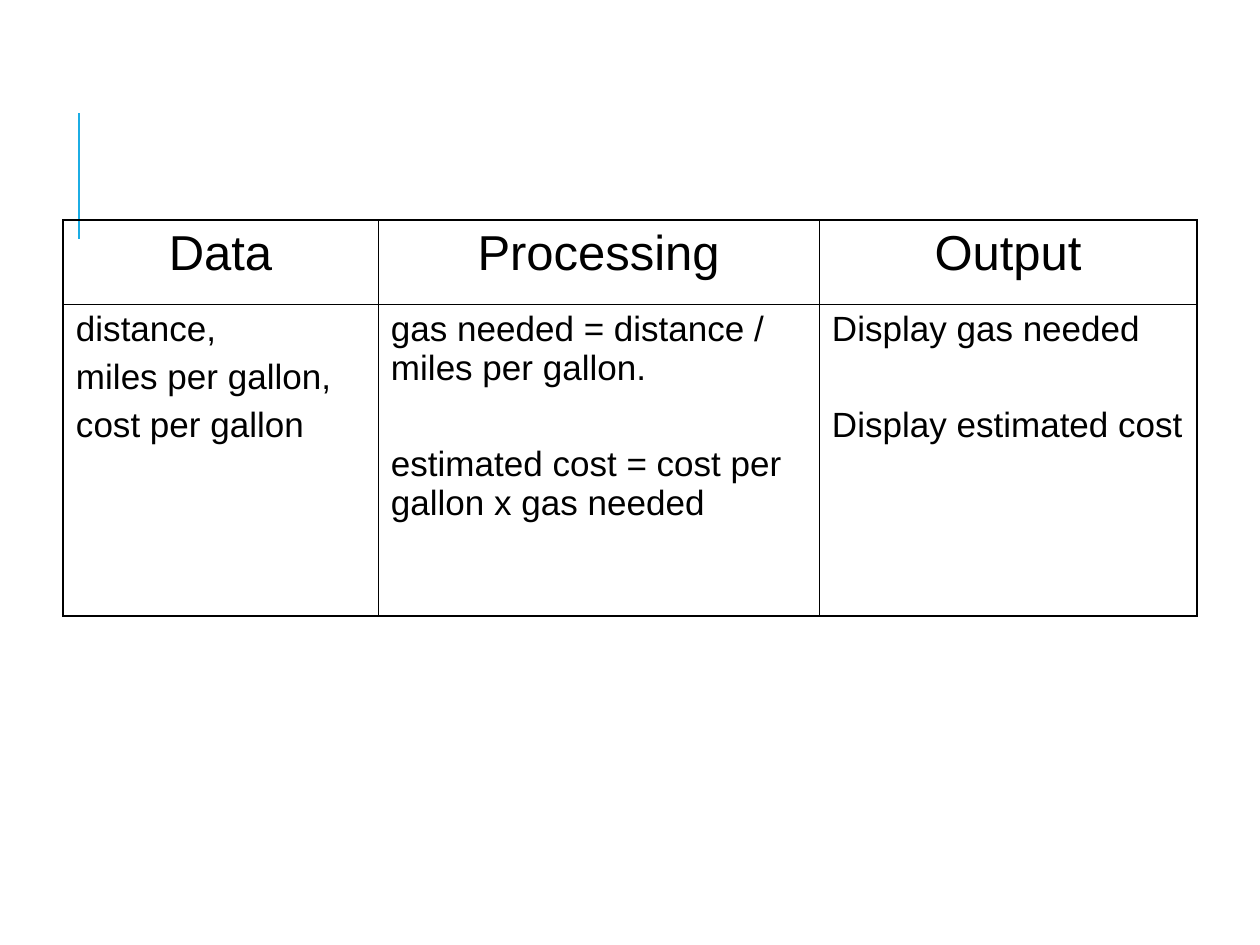
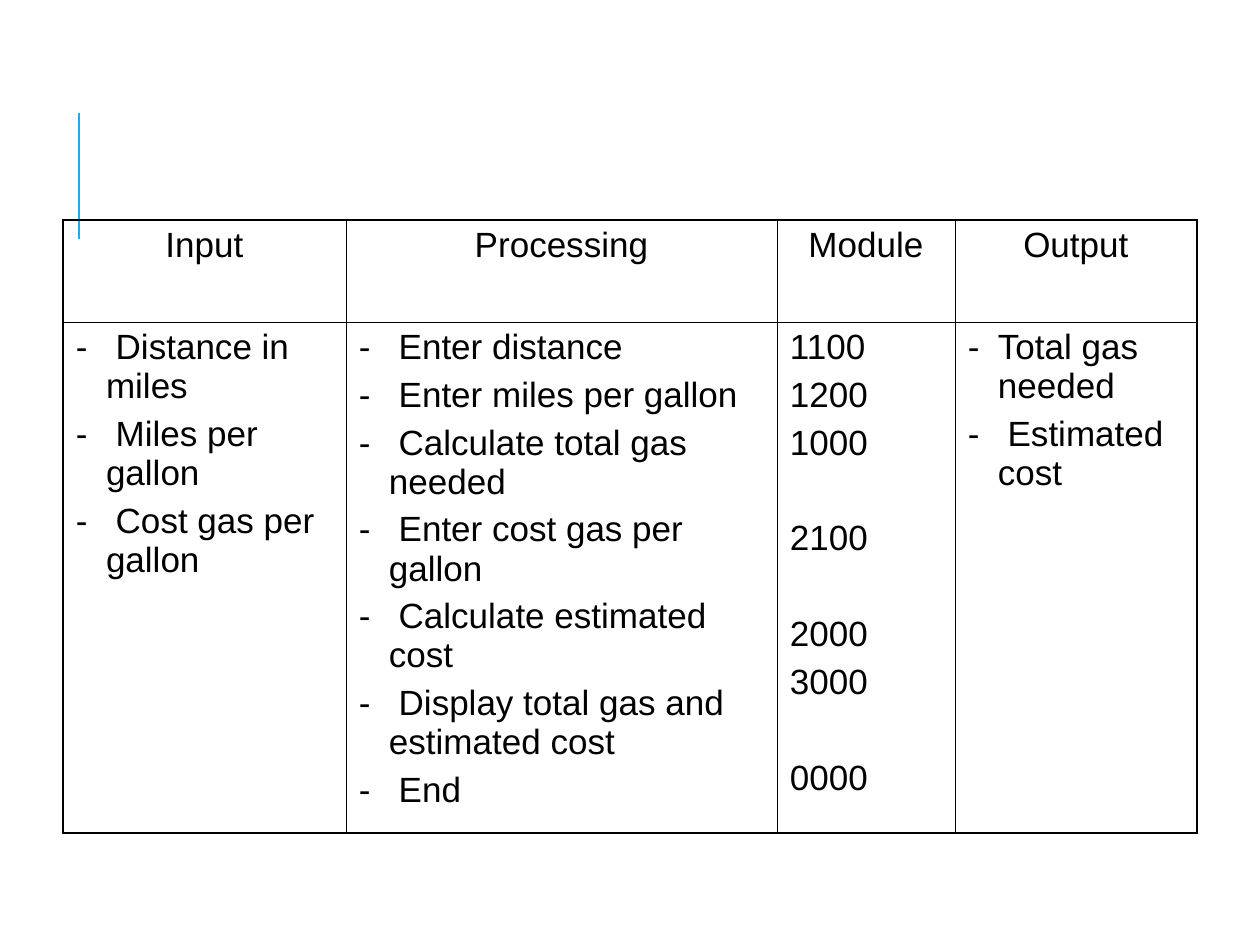
from pptx import Presentation
from pptx.dml.color import RGBColor
from pptx.enum.shapes import MSO_CONNECTOR as Connector
from pptx.enum.text import PP_ALIGN as Align
from pptx.oxml.ns import qn
from pptx.util import Pt
from lxml.etree import SubElement

EMU_PER_PX = 914400 / 126
SLIDE_SIZE = (1260, 945)
TABLE_LEFT, TABLE_TOP = 63, 220
CELL_INSET_X, CELL_INSET_Y = 13, 6
BULLET_INDENT = 30

FONT = "Arial"
BODY_SIZE = 20
LINE_GAP = 5       # points between paragraphs
GROUP_GAP = 32.4   # points between groups of paragraphs
OUTER_RULE, INNER_RULE = 1.08, 0.45

BLACK = RGBColor(0x00, 0x00, 0x00)
ACCENT = RGBColor(0x1C, 0xAD, 0xE4)

# Each body column is (bulleted, groups of lines)
PROBLEM_ANALYSIS = {
    "headings": ["Data", "Processing", "Output"],
    "heading_size": 28,
    "widths": [315, 441, 378],
    "heights": [84, 312],
    "body": [
        (False, [["distance,", "miles per gallon,", "cost per gallon"]]),
        (False, [["gas needed = distance / miles per gallon."],
                 ["estimated cost = cost per gallon x gas needed"]]),
        (False, [["Display gas needed"], ["Display estimated cost"]]),
    ],
}
IPO_CHART = {
    "headings": ["Input", "Processing", "Module", "Output"],
    "heading_size": BODY_SIZE,
    "widths": [283, 431, 178, 242],
    "heights": [102, 511],
    "body": [
        (True, [[" Distance in miles", " Miles per gallon", " Cost gas per gallon"]]),
        (True, [[" Enter distance", " Enter miles per gallon",
                 " Calculate total gas needed", " Enter cost gas per gallon",
                 " Calculate estimated cost",
                 " Display total gas and estimated cost", " End"]]),
        (False, [["1100", "1200", "1000"], ["2100"], ["2000", "3000"], ["0000"]]),
        (True, [["Total gas needed", " Estimated cost"]]),
    ],
}


def px(length):
    return round(length * EMU_PER_PX)


def add_accent_rule(slide):
    rule = slide.shapes.add_connector(Connector.STRAIGHT, px(79), px(239), px(79), px(113))
    rule.line.color.rgb = ACCENT
    rule.line.width = Pt(1.5)
    SubElement(rule._element.spPr, qn("a:effectLst"))


def set_borders(cell, outer_sides):
    properties = cell._tc.get_or_add_tcPr()
    for side in "LRTB":
        width = OUTER_RULE if side in outer_sides else INNER_RULE
        border = SubElement(properties, qn(f"a:ln{side}"), w=str(Pt(width)))
        fill = SubElement(border, qn("a:solidFill"))
        SubElement(fill, qn("a:srgbClr"), val=str(BLACK))


def add_dash(paragraph):
    properties = paragraph._p.get_or_add_pPr()
    properties.set("marL", str(px(BULLET_INDENT)))
    properties.set("indent", str(-px(BULLET_INDENT)))
    color = SubElement(properties, qn("a:buClr"))
    SubElement(color, qn("a:srgbClr"), val=str(BLACK))
    SubElement(properties, qn("a:buFont"), typeface=FONT)
    SubElement(properties, qn("a:buChar"), char="-")


def write_cell(cell, groups, size, align=Align.LEFT, bulleted=False):
    cell.margin_left = cell.margin_right = px(CELL_INSET_X)
    cell.margin_top = cell.margin_bottom = px(CELL_INSET_Y)
    cell.text_frame.text = "\n".join(line for group in groups for line in group)
    gaps = [LINE_GAP if index else GROUP_GAP
            for group in groups for index in range(len(group))]
    gaps[0] = 0
    for paragraph, gap in zip(cell.text_frame.paragraphs, gaps):
        if bulleted:
            add_dash(paragraph)
        paragraph.alignment = align
        paragraph.space_before = Pt(gap)
        for run in paragraph.runs:
            run.font.name = FONT
            run.font.size = Pt(size)
            run.font.bold = False
            run.font.color.rgb = BLACK


def add_chart_table(slide, content):
    widths, heights = content["widths"], content["heights"]
    table = slide.shapes.add_table(
        len(heights), len(widths), px(TABLE_LEFT), px(TABLE_TOP),
        px(sum(widths)), px(sum(heights))).table
    table.first_row = table.horz_banding = False
    for row, height in zip(table.rows, heights):
        row.height = px(height)

    for index, width in enumerate(widths):
        table.columns[index].width = px(width)
        heading, body = table.cell(0, index), table.cell(1, index)
        write_cell(heading, [[content["headings"][index]]],
                   content["heading_size"], Align.CENTER)
        bulleted, groups = content["body"][index]
        write_cell(body, groups, BODY_SIZE, bulleted=bulleted)

        # Heavy rules around the outside, thin rules within
        sides = ("L" if index == 0 else "") + ("R" if index == len(widths) - 1 else "")
        set_borders(heading, sides + "T")
        set_borders(body, sides + "B")
        heading.fill.background()
        body.fill.background()


def main():
    deck = Presentation()
    deck.slide_width, deck.slide_height = map(px, SLIDE_SIZE)
    blank = deck.slide_layouts[6]
    for content in (PROBLEM_ANALYSIS, IPO_CHART):
        slide = deck.slides.add_slide(blank)
        add_accent_rule(slide)
        add_chart_table(slide, content)
    deck.save("out.pptx")


if __name__ == "__main__":
    main()
